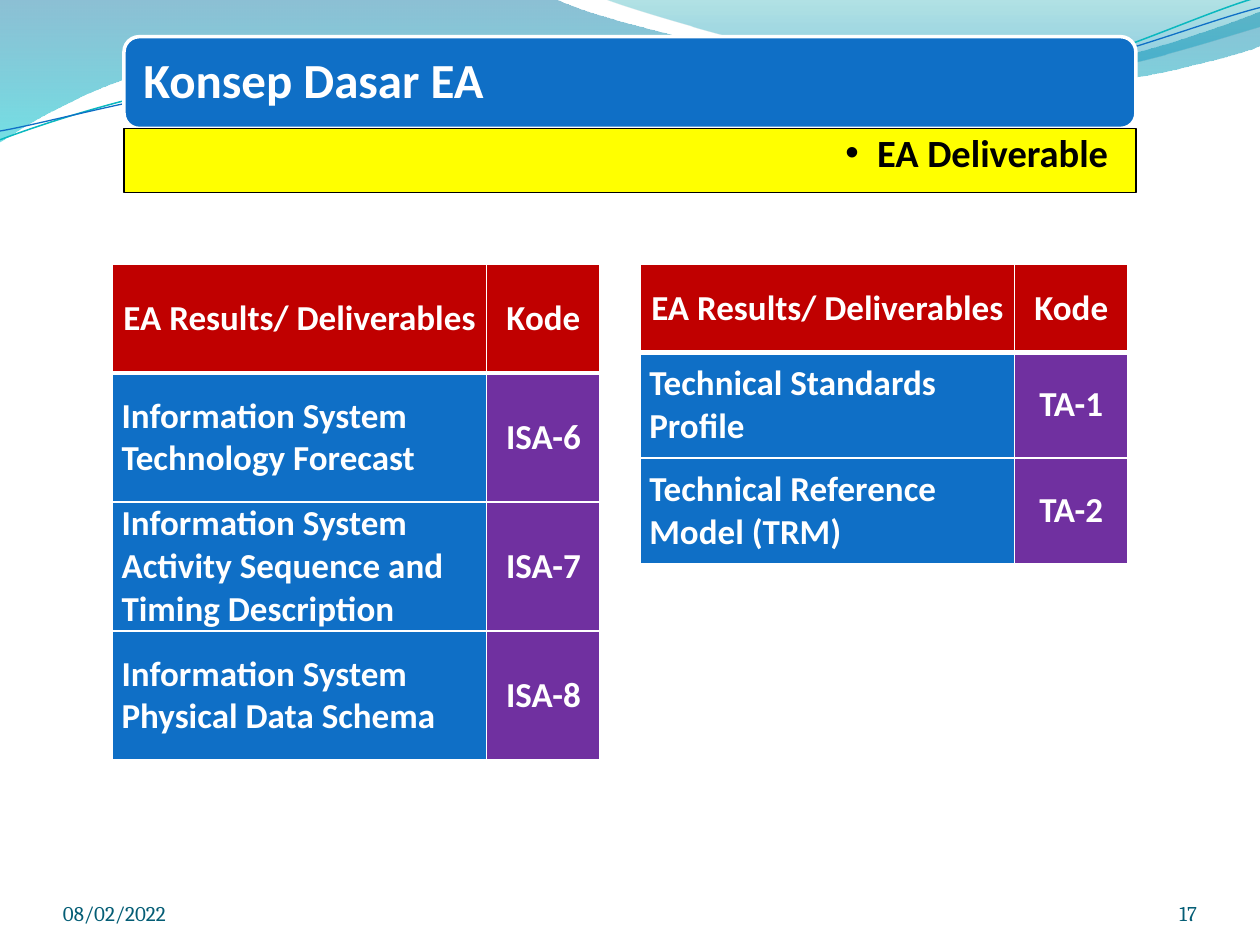
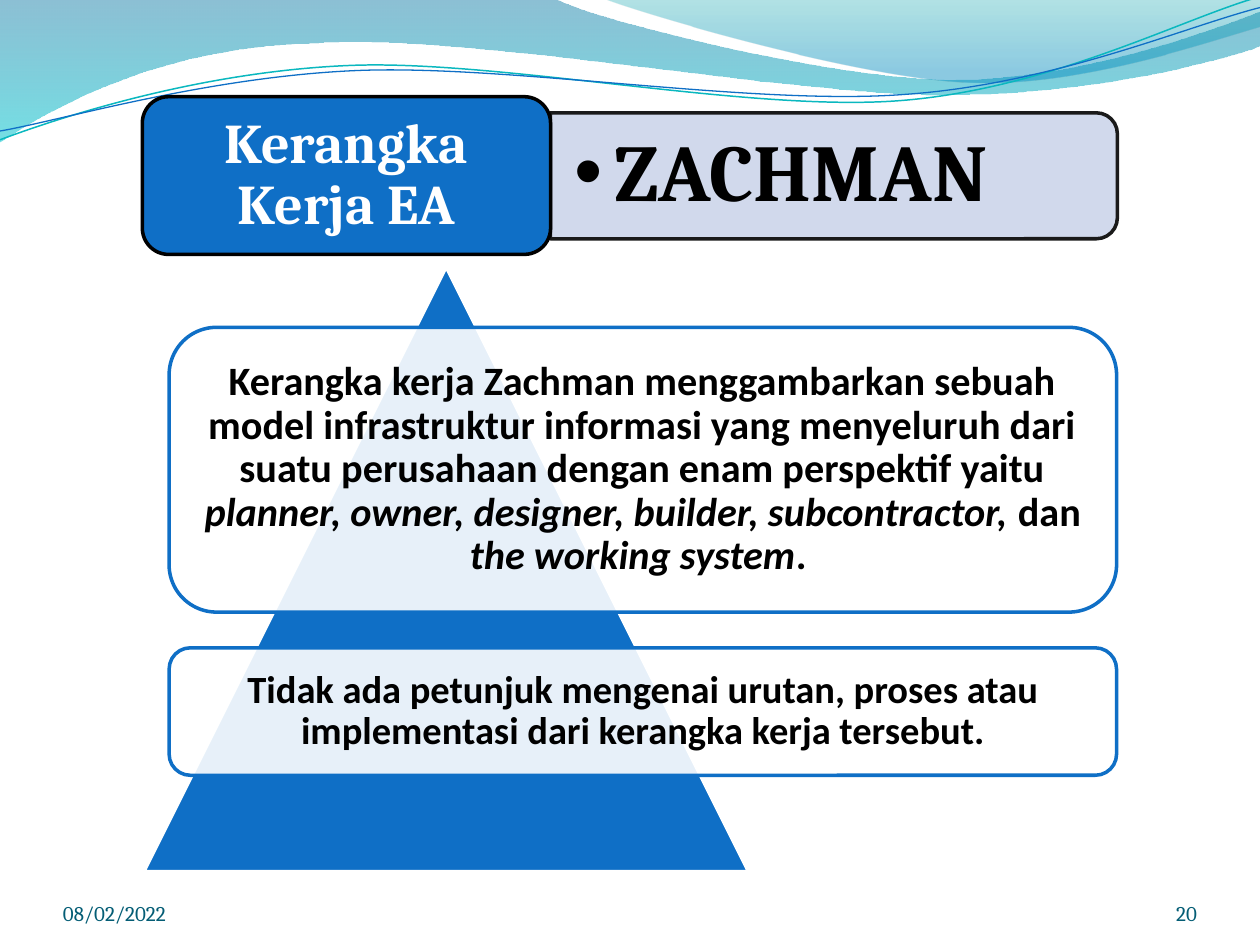
from math import cos, radians, sin

from lxml import etree
from pptx import Presentation
from pptx.dml.color import RGBColor
from pptx.enum.shapes import MSO_SHAPE
from pptx.enum.text import MSO_ANCHOR, MSO_AUTO_SIZE, PP_ALIGN
from pptx.oxml.ns import qn
from pptx.util import Cm, Pt

LEFT, CENTER, RIGHT = PP_ALIGN.LEFT, PP_ALIGN.CENTER, PP_ALIGN.RIGHT
TOP, MIDDLE, BOTTOM = MSO_ANCHOR.TOP, MSO_ANCHOR.MIDDLE, MSO_ANCHOR.BOTTOM
NO_AUTOFIT = MSO_AUTO_SIZE.NONE
RECTANGLE, ROUNDED = MSO_SHAPE.RECTANGLE, MSO_SHAPE.ROUNDED_RECTANGLE
TRIANGLE, TWO_ROUND = MSO_SHAPE.ISOSCELES_TRIANGLE, MSO_SHAPE.ROUND_2_SAME_RECTANGLE

BLUE, RED, PURPLE, YELLOW = "0F6FC6", "C00000", "7030A0", "FFFF00"
WHITE, BLACK, TEAL, FOOTER = "FFFFFF", "000000", "0AB8BF", "045D75"
BODY_FONT, SERIF_FONT = "Calibri", "Cambria"
rgb = RGBColor.from_string


def paint(shape, fill, line, width, opacity=100):
    shape.shadow.inherit = False
    if fill:
        shape.fill.solid()
        shape.fill.fore_color.rgb = rgb(fill)
        if opacity < 100:
            color = shape.fill._xPr.find(".//" + qn("a:srgbClr"))
            etree.SubElement(color, qn("a:alpha"), val=str(opacity * 1000))
    else:
        shape.fill.background()
    shape.line.color.rgb = rgb(line)
    shape.line.width = Pt(width)


def write(frame, runs, font, size, color, align=LEFT, anchor=MIDDLE,
          margins=(0, 0, 0, 0), bold=True, spacing=0.9, bullet_indent=0):
    """Fill a text frame with one paragraph; runs are (text, italic) pairs."""
    frame.word_wrap = True
    frame.auto_size = NO_AUTOFIT
    frame.vertical_anchor = anchor
    (frame.margin_left, frame.margin_top,
     frame.margin_right, frame.margin_bottom) = map(Cm, margins)
    paragraph = frame.paragraphs[0]
    if bullet_indent:
        properties = paragraph._p.get_or_add_pPr()
        properties.set("marL", str(Cm(bullet_indent)))
        properties.set("indent", str(-Cm(bullet_indent)))
        etree.SubElement(properties, qn("a:buFont"), typeface="Arial")
        etree.SubElement(properties, qn("a:buChar"), char="•")
    paragraph.alignment = align
    paragraph.line_spacing = spacing
    paragraph.space_before = Pt(0)
    for text, italic in runs:
        run = paragraph.add_run()
        run.text = text
        run.font.name = font
        run.font.size = Pt(size)
        run.font.bold = bold
        run.font.italic = italic
        run.font.color.rgb = rgb(color)


presentation = Presentation()
presentation.slide_width, presentation.slide_height = Cm(25.4), Cm(19.05)
title_only = presentation.slide_layouts[5]
deliverable_slide = presentation.slides.add_slide(title_only)
framework_slide = presentation.slides.add_slide(title_only)

# Waves on the master, in hundredths of 2.54 cm: start, then lines (2 numbers)
# or Bezier curves (6); gradient stops, or a stroke and its centre of rotation
WAVE_TILT = 2.7
waves = [
    ((0, 0), [(440, -1), (476, 17, 664, 63, 758, 63), (853, 63, 958, 26, 1000, 9),
              (1001, 36), (983, 44, 870, 76, 746, 75), (622, 75, 382, 28, 257, 34),
              (129, 36, 46, 83, -1, 113)],
     [(0, "0074A1", 45), (1, "00C6CF", 55)], None, None),
    ((479, -1), [(509, 11, 682, 62, 769, 65), (856, 69, 961, 32, 1000, 21), (1000, 0)],
     [(0, "00A1A9", 30), (0.8, "008BBF", 45)], None, None),
    ((0, 111), [(48, 93, 158, 57, 277, 52), (395, 47, 593, 89, 713, 80),
                (833, 71, 938, 15, 998, -2)], None, (TEAL, 0.85), (499, 57.5)),
    ((0, 104), [(47, 96, 164, 61, 283, 56), (403, 51, 597, 84, 717, 75),
                (836, 67, 941, 21, 1000, 6)], None, (BLUE, 0.75), (499.5, 59)),
]
for start, segments, stops, stroke, centre in waves:
    numbers = [number for segment in (start, *segments) for number in segment]
    points = list(zip(numbers[::2], numbers[1::2]))
    if centre:
        cosine, sine = cos(radians(WAVE_TILT)), sin(radians(WAVE_TILT))
        offsets = [(x - centre[0], y - centre[1]) for x, y in points]
        points = [(centre[0] + dx * cosine - dy * sine, centre[1] + dx * sine + dy * cosine)
                  for dx, dy in offsets]
    fine_points = [(x * 100, y * 100) for x, y in points]
    builder = deliverable_slide.shapes.build_freeform(*fine_points[0], scale=Cm(2.54) / 10000)
    builder.add_line_segments(fine_points[1:], close=bool(stops))
    wave = builder.convert_to_shape()
    # Join each curve's three line segments into one Bezier segment
    lines = iter(wave._element.findall(".//" + qn("a:lnTo")))
    for segment in segments:
        line = next(lines)
        if len(segment) == 6:
            curve = etree.Element(qn("a:cubicBezTo"))
            line.addprevious(curve)
            for part in (line, next(lines), next(lines)):
                curve.append(part[0])
                part.getparent().remove(part)
    if stops:
        wave.shadow.inherit = False
        wave.line.fill.background()
        wave.fill.gradient()
        wave.fill.gradient_angle = 270
        for stop, (position, color, opacity) in zip(wave.fill.gradient_stops, stops):
            stop.position = position
            stop.color.rgb = rgb(color)
            color_element = stop._gs.find(qn("a:srgbClr"))
            etree.SubElement(color_element, qn("a:alpha"), val=str(opacity * 1000))
    else:
        paint(wave, None, *stroke)
        wave.rotation = 360 - WAVE_TILT
    presentation.slide_master.shapes._spTree.append(wave._element)

# Panel behind the framework title
panel = framework_slide.shapes.add_shape(TWO_ROUND, *map(Cm, (15.54, -2.17, 2.54, 11.43)))
panel.rotation = 90
paint(panel, "CCD5EA", "1A1A1A", 2, 90)

# Framework name
framework_name = framework_slide.shapes.add_textbox(*map(Cm, (11.11, 2.39, 11.3, 2.29)))
write(framework_name.text_frame, [("ZACHMAN", False)], SERIF_FONT, 46, BLACK,
      margins=(0.48, 0.25, 0.48, 0.25), bullet_indent=0.79)

# Title bands
title_bands = [
    (deliverable_slide, "Konsep Dasar EA", (2.5, 0.74, 20.4, 1.85), WHITE,
     (2.59, 0.82, 20.22, 1.68), BODY_FONT, 28, LEFT, (0.3, 0.3, 0.3, 0.3)),
    (framework_slide, "Kerangka Kerja EA", (2.87, 1.95, 8.23, 3.18), BLACK,
     (3.02, 2.11, 7.92, 2.87), SERIF_FONT, 32, CENTER, (0.33, 0.18, 0.33, 0.18)),
]
for slide, text, band_box, outline, title_box, font, size, align, margins in title_bands:
    band = slide.shapes.add_shape(ROUNDED, *map(Cm, band_box))
    paint(band, BLUE, outline, 2)
    title = slide.shapes.title
    title.left, title.top, title.width, title.height = map(Cm, title_box)
    write(title.text_frame, [(text, False)], font, size, WHITE, align, margins=margins)
    slide.shapes._spTree.append(title._element)

# Subtitle bar
subtitle = deliverable_slide.shapes.add_shape(RECTANGLE, *map(Cm, (2.5, 2.59, 20.4, 1.29)))
paint(subtitle, YELLOW, BLACK, 0.75)
write(subtitle.text_frame, [("EA Deliverable", False)], BODY_FONT, 22, BLACK, RIGHT, TOP,
      (0.66, 0.11, 0.56, 0.11), bullet_indent=0.64)

# Deliverable tables
header = ("EA Results/ Deliverables", "Kode")
tables = [
    (2.27, 2.19, 2.6, [
        header,
        ("Information System Technology Forecast", "ISA-6"),
        ("Information System Activity Sequence and Timing Description", "ISA-7"),
        ("Information System Physical Data Schema", "ISA-8")]),
    (12.91, 1.77, 2.13, [
        header,
        ("Technical Standards Profile", "TA-1"),
        ("Technical Reference Model (TRM)", "TA-2")]),
]
for left, header_height, row_height, rows in tables:
    heights = [header_height] + [row_height] * (len(rows) - 1)
    table = deliverable_slide.shapes.add_table(
        len(rows), 2, Cm(left), Cm(5.33), Cm(9.83), Cm(sum(heights))).table
    table.columns[0].width, table.columns[1].width = Cm(7.54), Cm(2.29)
    for row_index, row in enumerate(rows):
        table.rows[row_index].height = Cm(heights[row_index])
        for column_index, text in enumerate(row):
            cell = table.cell(row_index, column_index)
            properties = cell._tc.get_or_add_tcPr()
            for edge in "LRTB":
                heavy = (row_index, edge) in ((0, "B"), (1, "T"))
                border = etree.SubElement(properties, qn("a:ln" + edge),
                                          w=str(Pt(3 if heavy else 1)))
                border_fill = etree.SubElement(border, qn("a:solidFill"))
                etree.SubElement(border_fill, qn("a:srgbClr"), val=WHITE)
            cell.fill.solid()
            cell.fill.fore_color.rgb = rgb(RED if row_index == 0 else (BLUE, PURPLE)[column_index])
            cell.vertical_anchor = MIDDLE
            cell.margin_left = cell.margin_right = Cm(0.18)
            cell.margin_top = cell.margin_bottom = 0
            paragraph = cell.text_frame.paragraphs[0]
            paragraph.alignment = LEFT if row_index and column_index == 0 else CENTER
            run = paragraph.add_run()
            run.text = text
            run.font.name, run.font.size, run.font.bold = BODY_FONT, Pt(20), True
            run.font.color.rgb = rgb(WHITE)

# Pyramid with its statements
pyramid = framework_slide.shapes.add_shape(TRIANGLE, *map(Cm, (2.9, 5.38, 12.19, 12.19)))
paint(pyramid, BLUE, WHITE, 2)
statements = [
    (6.6, 5.74, 23, 0.25, [
        ("Kerangka kerja Zachman menggambarkan sebuah model infrastruktur informasi yang "
         "menyeluruh dari suatu perusahaan dengan enam perspektif yaitu ", False),
        ("planner, owner, designer, builder, subcontractor,", True),
        (" dan", False), (" the working system", True), (". ", False)]),
    (13.06, 2.57, 22, 0.23, [
        ("Tidak ada petunjuk mengenai urutan, proses atau implementasi dari "
         "kerangka kerja tersebut.", False)]),
]
for top, height, size, margin, runs in statements:
    statement = framework_slide.shapes.add_shape(ROUNDED, *map(Cm, (3.41, top, 19.1, height)))
    paint(statement, WHITE, BLUE, 2, 90)
    write(statement.text_frame, runs, BODY_FONT, size, BLACK, CENTER, margins=(margin,) * 4)

# Footers
for slide, number in ((deliverable_slide, "17"), (framework_slide, "20")):
    for left, width, text, align in ((1.27, 5.92, "08/02/2022", LEFT),
                                     (22.02, 2.11, number, RIGHT)):
        footer = slide.shapes.add_textbox(*map(Cm, (left, 17.65, width, 1.02)))
        write(footer.text_frame, [(text, False)], SERIF_FONT, 12, FOOTER, align, BOTTOM,
              bold=False, spacing=1.0)

presentation.save("out.pptx")
